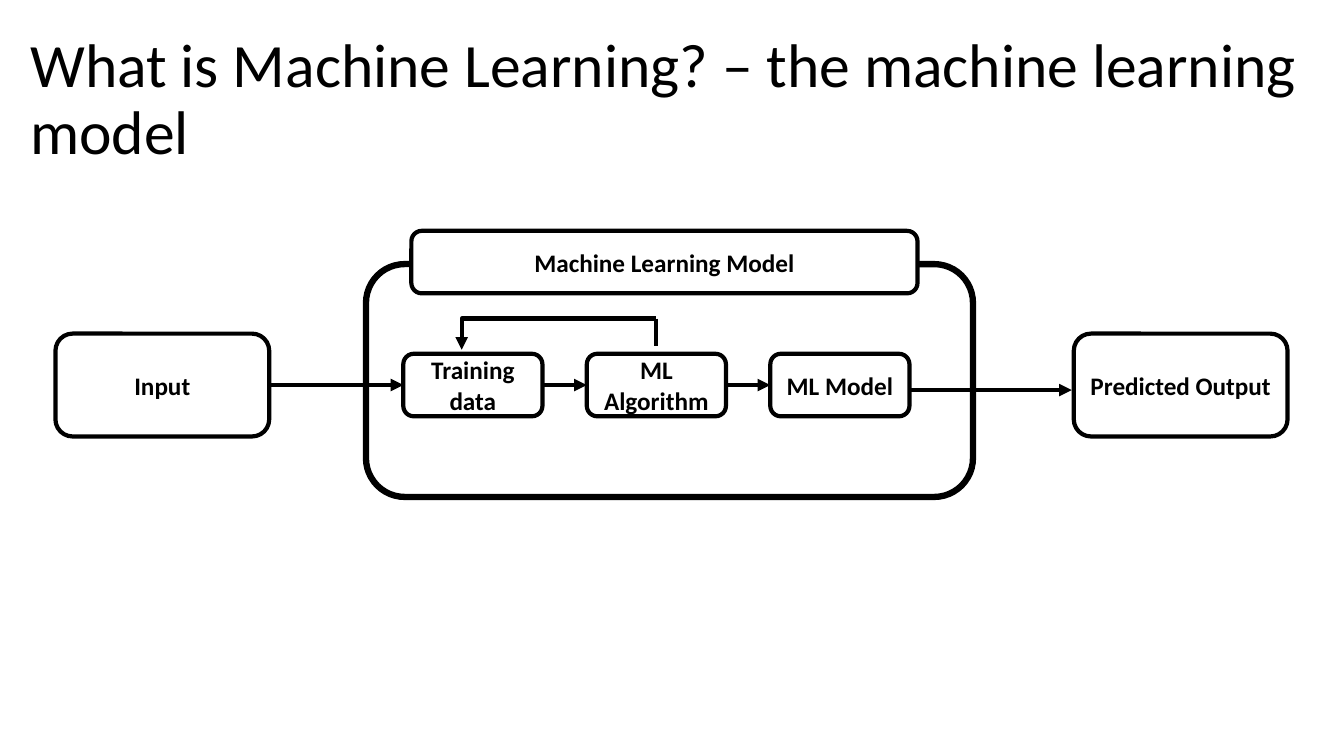
from pptx import Presentation
from pptx.dml.color import RGBColor
from pptx.enum.shapes import MSO_CONNECTOR, MSO_SHAPE
from pptx.enum.text import MSO_ANCHOR, MSO_AUTO_SIZE, PP_ALIGN
from pptx.oxml.ns import qn
from pptx.util import Pt
from lxml.etree import SubElement

EMU_PER_PX = 9144  # 100 px to the inch
COLORS = {"ink": "000000", "paper": "FFFFFF"}
FONT = "Calibri"
RIGHT_SIDE, LEFT_SIDE = 3, 1


def px(*lengths):
    return [length * EMU_PER_PX for length in lengths]


def color(name):
    return RGBColor.from_string(COLORS[name])


def style_text(paragraph, size, bold, align):
    paragraph.alignment = align
    paragraph.font.name = FONT
    paragraph.font.size = Pt(size)
    paragraph.font.bold = bold
    paragraph.font.color.rgb = color("ink")


def set_title(slide, wording):
    title = slide.shapes.title
    title.left, title.top, title.width, title.height = px(20, 28, 1292, 145)
    frame = title.text_frame
    frame.text = wording
    frame.word_wrap = True
    frame.auto_size = MSO_AUTO_SIZE.NONE
    frame.vertical_anchor = MSO_ANCHOR.MIDDLE
    paragraph = frame.paragraphs[0]
    paragraph.line_spacing = 0.9
    style_text(paragraph, 44, False, PP_ALIGN.LEFT)


def add_outline(slide, left, top, width, height, weight):
    """Add an unfilled rounded rectangle."""
    outline = slide.shapes.add_shape(
        MSO_SHAPE.ROUNDED_RECTANGLE, *px(left, top, width, height))
    outline.shadow.inherit = False
    outline.fill.background()
    outline.line.color.rgb = color("ink")
    outline.line.width = Pt(weight)
    return outline


def add_box(slide, label, left, top, width, height):
    box = add_outline(slide, left, top, width, height, 3)
    box.fill.solid()
    box.fill.fore_color.rgb = color("paper")
    frame = box.text_frame
    frame.text = label
    frame.word_wrap = True
    frame.vertical_anchor = MSO_ANCHOR.MIDDLE
    style_text(frame.paragraphs[0], 18, True, PP_ALIGN.CENTER)
    return box


def add_line(slide, start, end, kind=MSO_CONNECTOR.STRAIGHT, arrow=True):
    line = slide.shapes.add_connector(kind, *px(*start, *end))
    line.line.color.rgb = color("ink")
    line.line.width = Pt(3)
    if arrow:
        SubElement(line.line._get_or_add_ln(), qn("a:tailEnd"), type="triangle")
    SubElement(line._element.spPr, qn("a:effectLst"))
    return line


def join(slide, source, target):
    """Draw an arrow from the right side of source to the left side of target."""
    arrow = add_line(slide, (0, 0), (0, 0))
    arrow.begin_connect(source, RIGHT_SIDE)
    arrow.end_connect(target, LEFT_SIDE)


def add_feedback_loop(slide):
    """Lead from above the algorithm back down to the training data."""
    corner = (651, 316)
    loop = add_line(slide, corner, (458, 347), MSO_CONNECTOR.ELBOW)
    adjustments = loop._element.spPr.find(qn("a:prstGeom")).find(qn("a:avLst"))
    SubElement(adjustments, qn("a:gd"), name="adj1", fmla="val 100000")
    add_line(slide, corner, (651, 343), arrow=False)


def main():
    deck = Presentation()
    deck.slide_width, deck.slide_height = px(1333, 750)
    slide = deck.slides.add_slide(deck.slide_layouts[5])
    set_title(slide, "What is Machine Learning? – the machine learning model")

    steps = ["Training data", "ML Algorithm", "ML Model"]
    training, algorithm, model = [
        add_box(slide, step, 400 + 182 * i, 351, 138, 62)
        for i, step in enumerate(steps)]
    add_outline(slide, 363, 262, 602, 231, 4.5)
    add_box(slide, "Predicted Output", 1065, 331, 212, 102)
    input_box = add_box(slide, "Input", 55, 331, 212, 102)
    add_box(slide, "Machine Learning Model", 408, 229, 502, 62)

    join(slide, input_box, training)
    add_line(slide, (902, 387), (1063, 387))
    join(slide, training, algorithm)
    join(slide, algorithm, model)
    add_feedback_loop(slide)

    deck.save("out.pptx")


if __name__ == "__main__":
    main()
